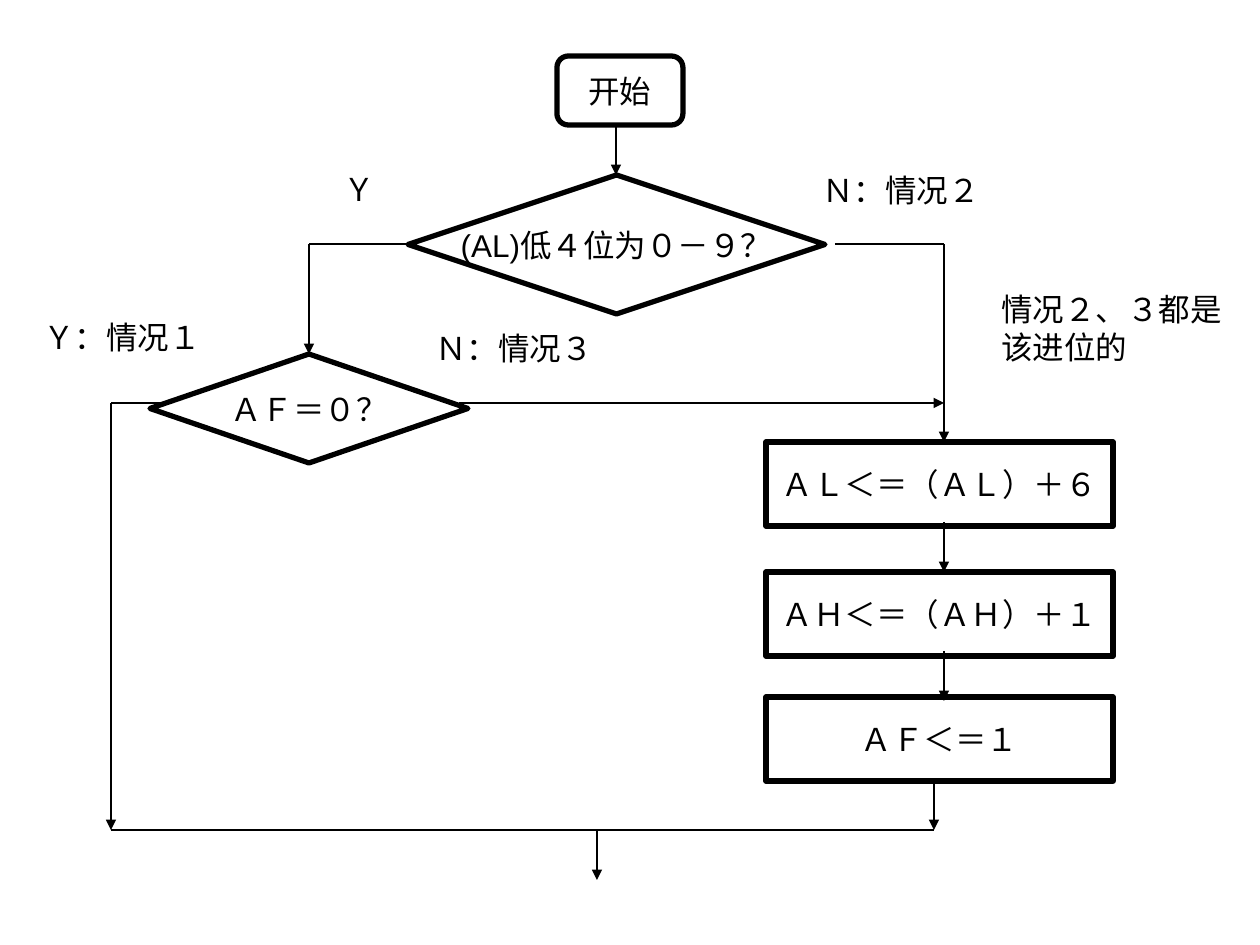
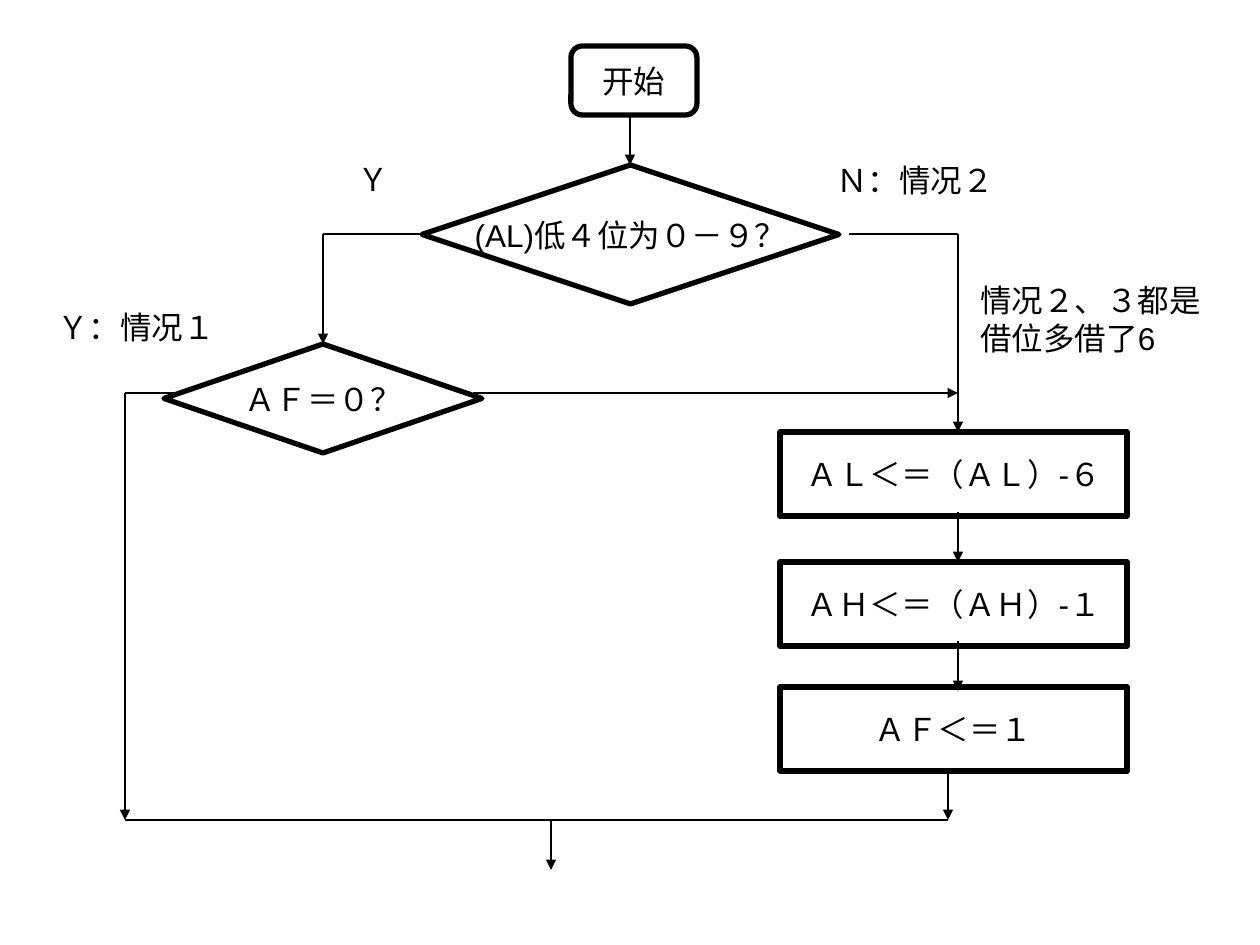
import pptx
import pptx.util
import pptx.dml.color
import pptx.enum.lang
import pptx.enum.shapes
import pptx.enum.text
import lxml.etree

PX = 914400 // 126
INK = {"text": "000000", "line": "000000"}
FONT = "Arial"
KIND = pptx.enum.shapes.MSO_SHAPE
ALIGN = pptx.enum.text.PP_ALIGN
DRAW = "{http://schemas.openxmlformats.org/drawingml/2006/main}"

deck = pptx.Presentation()
deck.slide_width = pptx.util.Inches(10)
deck.slide_height = pptx.util.Inches(7.5)

# What differs: shift of the chart, steps, exit arrow, note and labels
slides = [
    dict(shift=(0, 0), steps=["ＡＬ＜＝（ＡＬ）＋６", "ＡＨ＜＝（ＡＨ）＋１"],
         exit=597, note=(989, 284, "情况２、３都是\n该进位的"),
         extra=[(423, 323, 183, "Ｎ：情况３")]),
    dict(shift=(14, -10), steps=["ＡＬ＜＝（ＡＬ）-６", "ＡＨ＜＝（ＡＨ）-１"],
         exit=537, note=(954, 285, "情况２、３都是\n借位多借了6"), extra=[]),
]


def style(shape, text, align):
    frame = shape.text_frame
    frame.text = text
    frame.word_wrap = False
    for para in frame.paragraphs:
        para.alignment = align
        for run in para.runs:
            run.font.name = FONT
            run.font.size = pptx.util.Pt(18)
            run.font.color.rgb = pptx.dml.color.RGBColor.from_string(INK["text"])
            run.font.language_id = pptx.enum.lang.MSO_LANGUAGE_ID.SIMPLIFIED_CHINESE


for data in slides:
    slide = deck.slides.add_slide(deck.slide_layouts[6])
    dx, dy = data["shift"]

    # Start, decisions and steps
    first, second = data["steps"]
    nodes = [
        (KIND.FLOWCHART_ALTERNATE_PROCESS, 557, 56, 126, 69, "开始"),
        (KIND.FLOWCHART_DECISION, 408, 175, 417, 139, "(AL)低４位为０－９？"),
        (KIND.FLOWCHART_DECISION, 150, 354, 318, 109, "ＡＦ＝０？"),
        (KIND.FLOWCHART_PROCESS, 766, 442, 347, 84, first),
        (KIND.FLOWCHART_PROCESS, 766, 572, 347, 84, second),
        (KIND.FLOWCHART_PROCESS, 766, 697, 347, 84, "ＡＦ＜＝１"),
    ]
    for kind, x, y, w, h, text in nodes:
        node = slide.shapes.add_shape(
            kind, (x + dx) * PX, (y + dy) * PX, w * PX, h * PX)
        node.shadow.inherit = False
        node.fill.background()
        node.line.width = pptx.util.Pt(3)
        node.line.color.rgb = pptx.dml.color.RGBColor.from_string(INK["line"])
        node.text_frame.vertical_anchor = pptx.enum.text.MSO_ANCHOR.MIDDLE
        style(node, text, ALIGN.CENTER)

    # Flow lines: from, to, arrowhead
    flows = [
        (616, 125, 616, 175, True),
        (408, 244, 309, 244, False),
        (309, 244, 309, 354, True),
        (835, 244, 944, 244, False),
        (944, 244, 944, 442, True),
        (459, 403, 944, 403, True),
        (944, 522, 944, 572, True),
        (944, 651, 944, 701, True),
        (160, 403, 111, 403, False),
        (111, 403, 111, 830, True),
        (934, 780, 934, 830, True),
        (934, 830, 111, 830, False),
        (data["exit"], 830, data["exit"], 880, True),
    ]
    for x1, y1, x2, y2, arrow in flows:
        flow = slide.shapes.add_connector(
            pptx.enum.shapes.MSO_CONNECTOR.STRAIGHT,
            (x1 + dx) * PX, (y1 + dy) * PX, (x2 + dx) * PX, (y2 + dy) * PX)
        flow.line.width = pptx.util.Pt(0.75)
        flow.line.color.rgb = pptx.dml.color.RGBColor.from_string(INK["line"])
        if arrow:
            lxml.etree.SubElement(
                flow.line._get_or_add_ln(), DRAW + "tailEnd", type="triangle")
        lxml.etree.SubElement(flow._element.spPr, DRAW + "effectLst")

    # Branch labels and note
    left, top, note = data["note"]
    labels = [
        (31, 312, 183, "Ｙ：情况１"),
        (331, 164, 57, "Ｙ"),
        (810, 165, 183, "Ｎ：情况２"),
        (left, top, 246, note),
    ] + data["extra"]
    for x, y, w, text in labels:
        h = 50 + 38 * text.count("\n")
        label = slide.shapes.add_textbox(
            (x + dx) * PX, (y + dy) * PX, w * PX, h * PX)
        label.text_frame.auto_size = pptx.enum.text.MSO_AUTO_SIZE.SHAPE_TO_FIT_TEXT
        style(label, text, ALIGN.LEFT)

deck.save("out.pptx")
